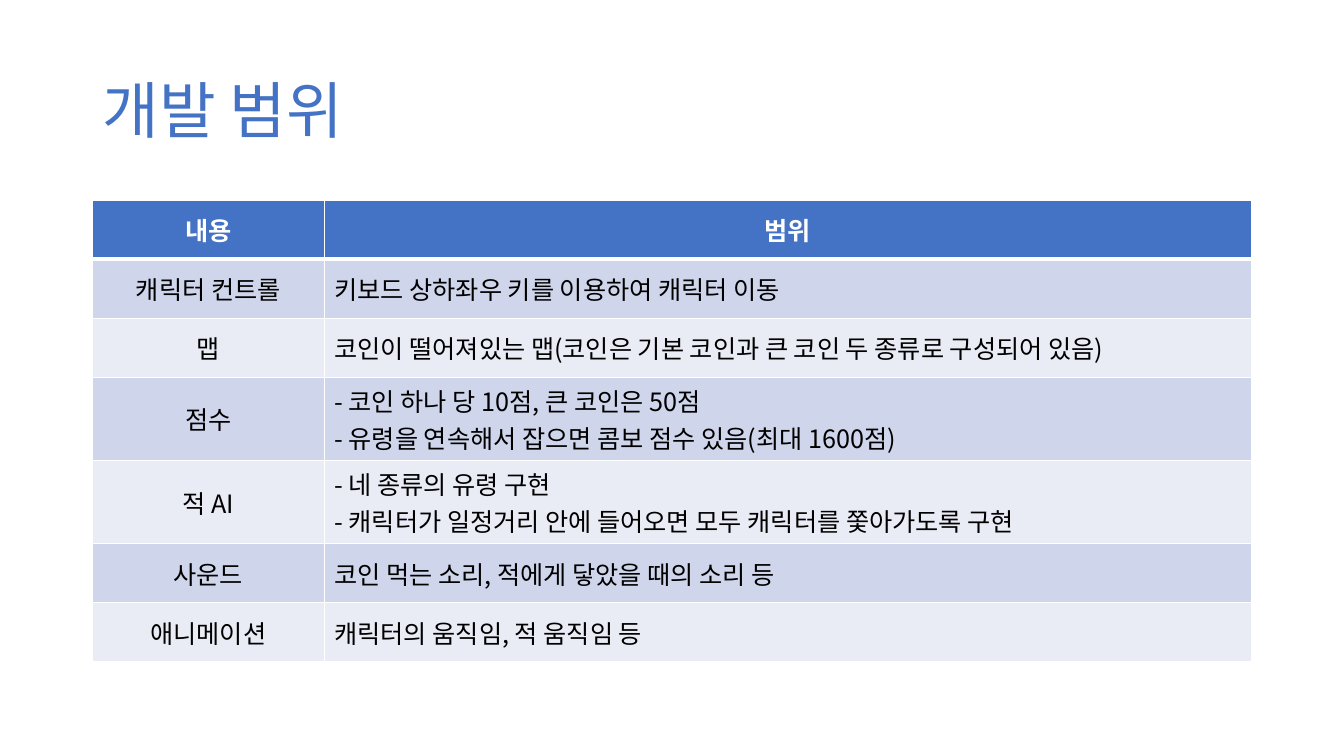
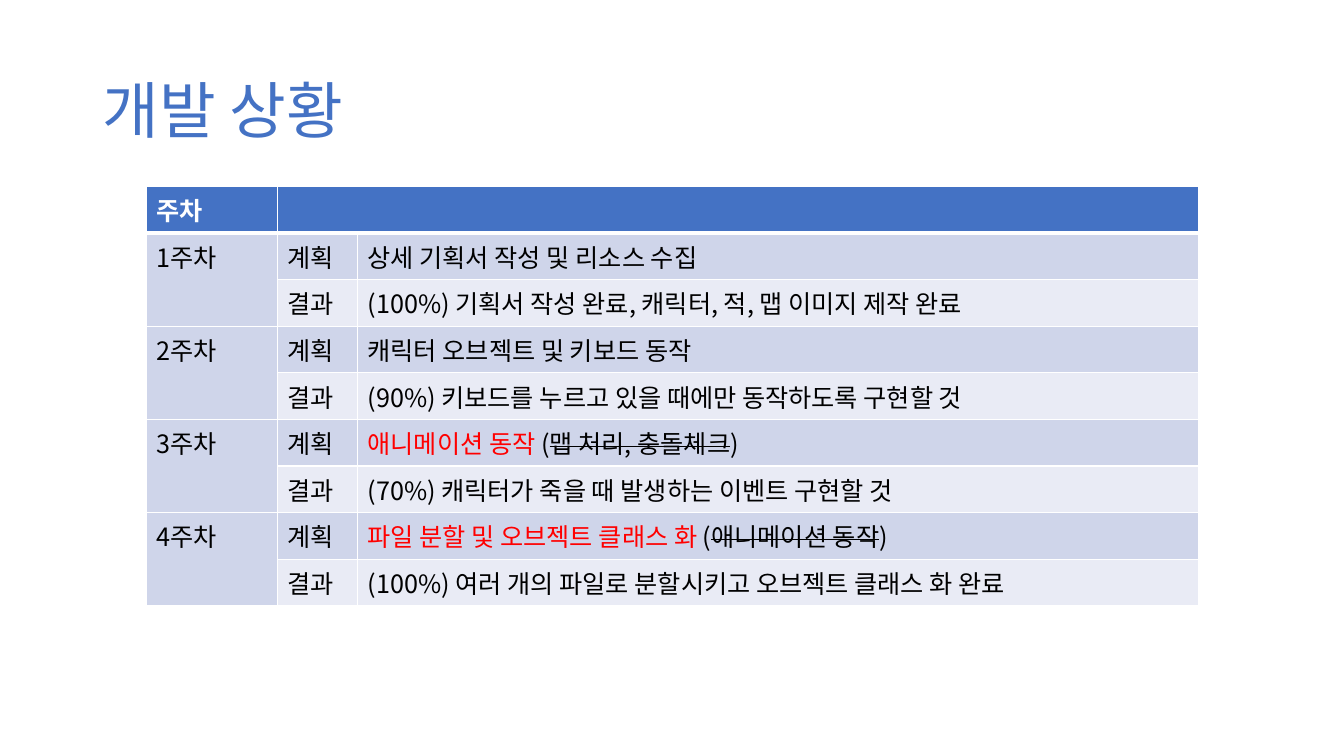
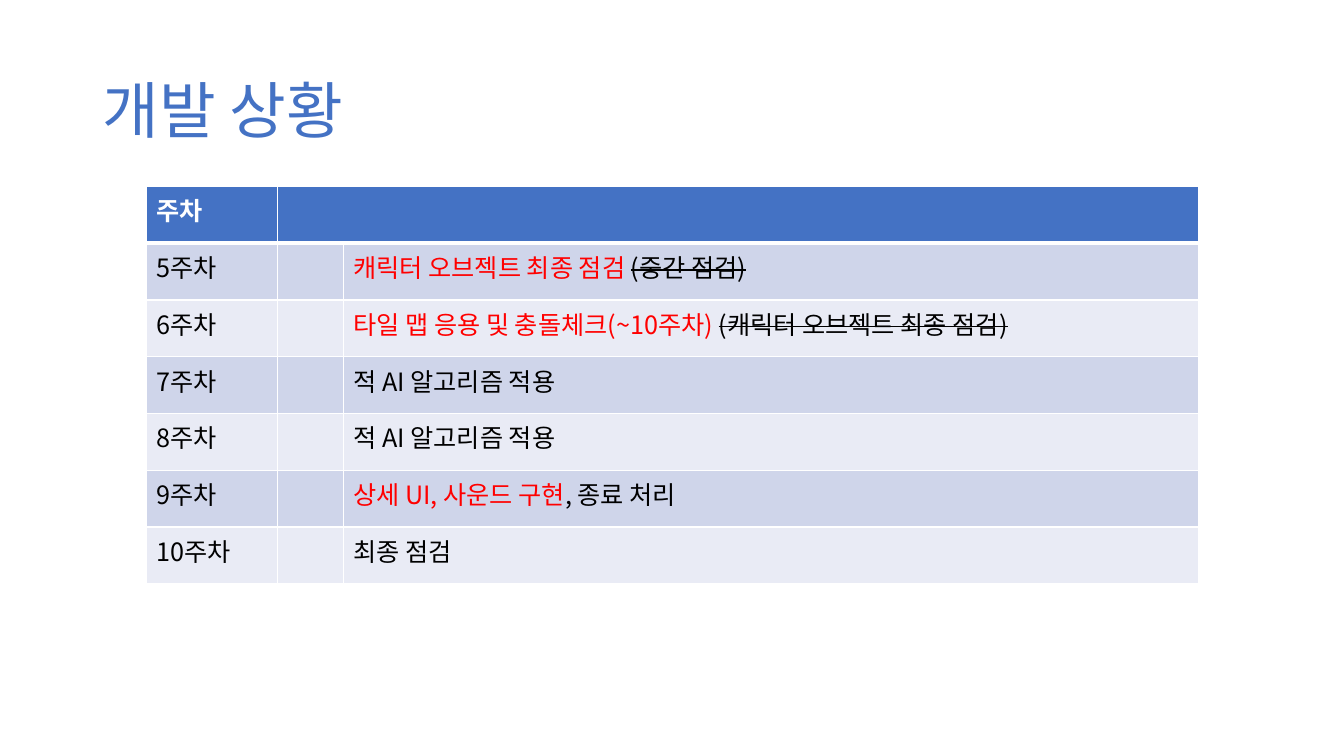
"""Build three slides on the scope and progress of a game project."""
from dataclasses import dataclass
from typing import NamedTuple, Optional, Union

from lxml import etree
from pptx import Presentation
from pptx.dml.color import RGBColor
from pptx.enum.text import MSO_ANCHOR, PP_ALIGN
from pptx.oxml.ns import qn
from pptx.util import Cm, Pt

LEFT, CENTER = PP_ALIGN.LEFT, PP_ALIGN.CENTER
TOP, MIDDLE = MSO_ANCHOR.TOP, MSO_ANCHOR.MIDDLE
TITLE_ONLY = 5


@dataclass(frozen=True)
class Theme:
    font: str = "Noto Sans CJK KR"
    title_size: int = 44
    body_size: int = 18
    accent: str = "4472C4"
    bands: tuple[str, str] = ("E9EBF5", "CFD5EA")
    text: str = "000000"
    light: str = "FFFFFF"
    changed: str = "FF0000"
    line: int = 1
    header_line: int = 3


THEME = Theme()


class Span(NamedTuple):
    text: str
    changed: bool = False
    struck: bool = False


Line = Union[str, tuple[Span, ...]]
Cell = Optional[Union[Line, list[Line]]]


@dataclass(frozen=True)
class TableSlide:
    title: str
    left: float
    top: float
    col_widths: tuple[float, ...]
    row_height: float
    rows: list[list[Cell]]
    centered: bool = False


def week_rows(week: str, plan: Line, result: Line) -> list[list[Cell]]:
    return [[week, "계획", plan], [None, "결과", result]]


SCOPE = TableSlide("개발 범위", 2.33, 5.04, (5.84, 23.37), 1.49, [
    ["내용", "범위"],
    ["캐릭터 컨트롤", "키보드 상하좌우 키를 이용하여 캐릭터 이동"],
    ["맵", "코인이 떨어져있는 맵(코인은 기본 코인과 큰 코인 두 종류로 구성되어 있음)"],
    ["점수", ["- 코인 하나 당 10점, 큰 코인은 50점",
            "- 유령을 연속해서 잡으면 콤보 점수 있음(최대 1600점)"]],
    ["적 AI", ["- 네 종류의 유령 구현",
             "- 캐릭터가 일정거리 안에 들어오면 모두 캐릭터를 쫓아가도록 구현"]],
    ["사운드", "코인 먹는 소리, 적에게 닿았을 때의 소리 등"],
    ["애니메이션", "캐릭터의 움직임, 적 움직임 등"],
], centered=True)

WEEKS_1_TO_4 = TableSlide("개발 상황", 3.68, 4.7, (3.31, 2.02, 21.19), 1.12, [
    ["주차", "", None],
    *week_rows("1주차", "상세 기획서 작성 및 리소스 수집",
               "(100%) 기획서 작성 완료, 캐릭터, 적, 맵 이미지 제작 완료"),
    *week_rows("2주차", "캐릭터 오브젝트 및 키보드 동작",
               "(90%) 키보드를 누르고 있을 때에만 동작하도록 구현할 것"),
    *week_rows("3주차", (Span("애니메이션 동작 ", changed=True), Span("("),
                       Span("맵 처리, 충돌체크", struck=True), Span(")")),
               "(70%) 캐릭터가 죽을 때 발생하는 이벤트 구현할 것"),
    *week_rows("4주차", (Span("파일 분할 및 오브젝트 클래스 화 ", changed=True), Span("("),
                       Span("애니메이션 동작", struck=True), Span(")")),
               "(100%) 여러 개의 파일로 분할시키고 오브젝트 클래스 화 완료"),
])

WEEKS_5_TO_10 = TableSlide("개발 상황", 3.68, 4.7, (3.31, 1.66, 21.55), 1.43, [
    ["주차", "", None],
    ["5주차", "", (Span("캐릭터 오브젝트 최종 점검 ", changed=True),
                 Span("(중간 점검)", struck=True))],
    ["6주차", "", (Span("타일 맵 응용 및 충돌체크(~10주차) ", changed=True),
                 Span("(캐릭터 오브젝트 최종 점검)", struck=True))],
    ["7주차", "", "적 AI 알고리즘 적용"],
    ["8주차", "", "적 AI 알고리즘 적용"],
    ["9주차", "", (Span("상세 UI, 사운드 구현", changed=True), Span(", 종료 처리"))],
    ["10주차", "", "최종 점검"],
])


def format_paragraph(p, size: int, color: str, bold: bool = False, align=LEFT) -> None:
    p.alignment = align
    font = p.font
    font.name, font.size, font.bold = THEME.font, Pt(size), bold
    font.color.rgb = RGBColor.from_string(color)
    ea = etree.SubElement(p._p.pPr.find(qn("a:defRPr")), qn("a:ea"))
    ea.set("typeface", THEME.font)


def add_title(s, text: str) -> None:
    sp = s.shapes.title
    sp.left, sp.top, sp.width, sp.height = Cm(2.33), Cm(1.02), Cm(29.21), Cm(3.68)
    tf = sp.text_frame
    tf.text, tf.vertical_anchor, tf.word_wrap = text, MIDDLE, True
    p = tf.paragraphs[0]
    p.line_spacing = 0.9
    format_paragraph(p, THEME.title_size, THEME.accent)


def add_spans(p, line: Line) -> None:
    for span in (Span(line),) if isinstance(line, str) else line:
        if not span.text:
            continue
        r = p.add_run()
        r.text = span.text
        if span.changed:
            r.font.color.rgb = RGBColor.from_string(THEME.changed)
        if span.struck:
            r._r.get_or_add_rPr().set("strike", "sngStrike")


def set_borders(cell, row: int) -> None:
    tc_pr = cell._tc.get_or_add_tcPr()
    thick_side = {0: "B", 1: "T"}.get(row)
    for side in "LRTB":
        width = THEME.header_line if side == thick_side else THEME.line
        ln = etree.SubElement(tc_pr, qn(f"a:ln{side}"), w=str(Pt(width)))
        fill = etree.SubElement(ln, qn("a:solidFill"))
        etree.SubElement(fill, qn("a:srgbClr"), val=THEME.light)


def fill_cell(cell, content: Cell, row: int, align, anchor) -> None:
    header = row == 0
    set_borders(cell, row)
    cell.fill.solid()
    cell.fill.fore_color.rgb = RGBColor.from_string(
        THEME.accent if header else THEME.bands[row % 2])
    cell.vertical_anchor = anchor
    tf = cell.text_frame
    for i, line in enumerate(content if isinstance(content, list) else [content or ""]):
        p = tf.paragraphs[0] if i == 0 else tf.add_paragraph()
        format_paragraph(p, THEME.body_size, THEME.light if header else THEME.text,
                         header, align)
        add_spans(p, line)


def add_grid(s, spec: TableSlide) -> None:
    n_rows, n_cols = len(spec.rows), len(spec.col_widths)
    table = s.shapes.add_table(
        n_rows, n_cols, Cm(spec.left), Cm(spec.top),
        Cm(sum(spec.col_widths)), Cm(spec.row_height * n_rows)).table
    for column, width in zip(table.columns, spec.col_widths):
        column.width = Cm(width)
    for i, contents in enumerate(spec.rows):
        table.rows[i].height = Cm(spec.row_height)
        for j, content in enumerate(contents):
            cell = table.cell(i, j)
            align = CENTER if spec.centered and (i == 0 or j == 0) else LEFT
            fill_cell(cell, content, i, align, MIDDLE if spec.centered else TOP)
            if content is None:
                start = table.cell(i, j - 1) if j else table.cell(i - 1, j)
                start.merge(cell)


def main() -> None:
    prs = Presentation()
    prs.slide_width, prs.slide_height = Cm(33.87), Cm(19.05)
    for spec in (SCOPE, WEEKS_1_TO_4, WEEKS_5_TO_10):
        s = prs.slides.add_slide(prs.slide_layouts[TITLE_ONLY])
        add_title(s, spec.title)
        add_grid(s, spec)
    prs.save("out.pptx")


if __name__ == "__main__":
    main()
